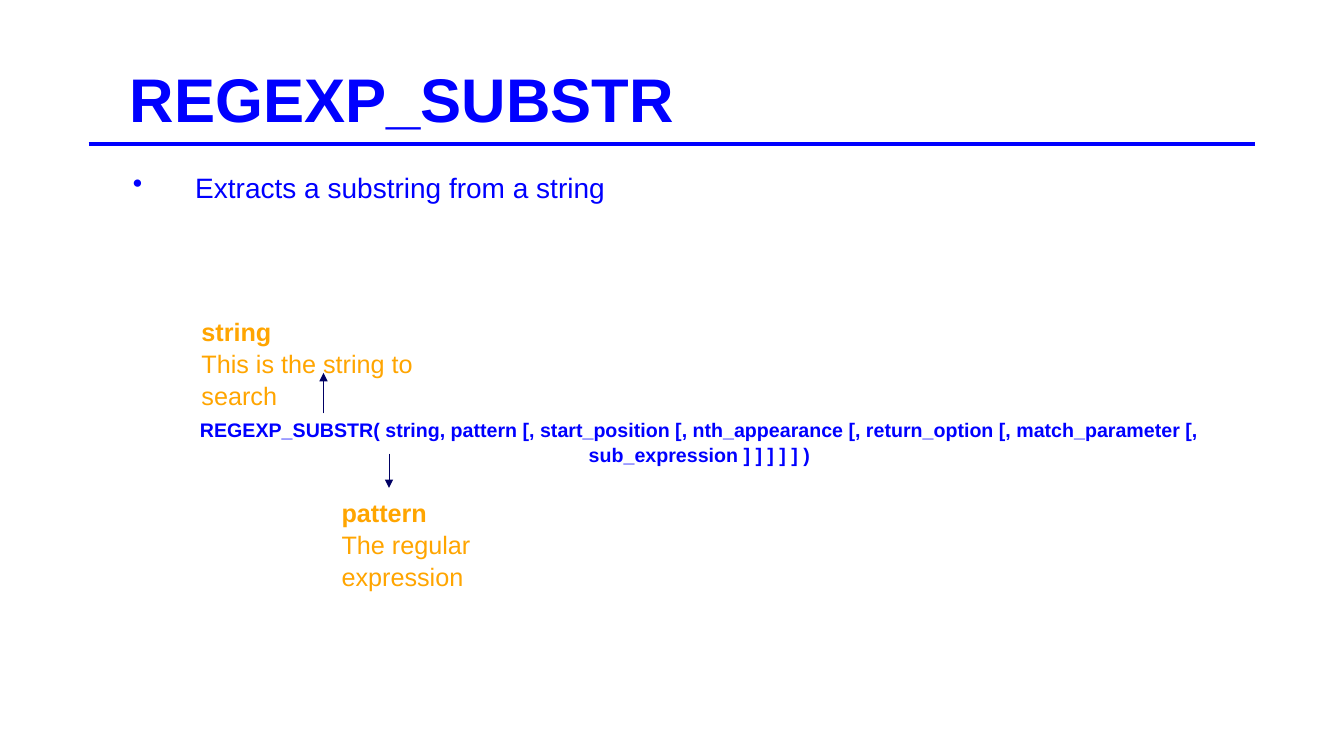
import pptx
import pptx.dml.color
import pptx.enum.shapes
import pptx.enum.text
import pptx.oxml
import pptx.util
from lxml import etree

Pt = pptx.util.Pt
BLUE, NAVY, ORANGE, WHITE = "0000FF", "000064", "FFA500", "FFFFFF"

TITLE = "REGEXP_SUBSTR"
SUMMARY = "Extracts a substring from a string"
SYNTAX = ("REGEXP_SUBSTR( string, pattern [, start_position [, nth_appearance "
          "[, return_option [, match_parameter [, sub_expression ] ] ] ] ] )")

# text, (left, top, width, height), format
PANELS = [
    (TITLE, (85.7, 36.7, 833, 55.4), dict(size=44, bold=True)),
    (SUMMARY, (87.8, 116.6, 784, 50.4), dict(size=20, bullet=True)),
    (SYNTAX, (63.4, 293.8, 872.6, 42.5), dict(size=14, bold=True, center=True)),
]
# name, meaning, (left, top, width, height)
ARGUMENTS = [
    ("string", "This is the string to search", (136.8, 221, 169.2, 72.7)),
    ("pattern", "The regular expression", (236.9, 350.6, 182.2, 72.7)),
]
# start, end, colour, width, arrow
LINES = [
    ((63.4, 103), (896.4, 103), BLUE, 3, False),
    ((231.1, 295.2), (231.1, 266.4), NAVY, 0.5, True),
    ((277.9, 324), (277.9, 348.5), NAVY, 0.5, True),
]


def rgb(value):
    return pptx.dml.color.RGBColor.from_string(value)


def add_bullet(p, indent):
    pPr = p._p.get_or_add_pPr()
    pPr.set("marL", str(Pt(indent)))
    pPr.set("indent", str(-Pt(indent)))
    etree.SubElement(pPr, pptx.oxml.ns.qn("a:buChar")).set("char", "•")


def write(p, text, size, color=BLUE, bold=False, center=False, bullet=False):
    if bullet:
        add_bullet(p, 44.6)
    align = pptx.enum.text.PP_ALIGN
    p.alignment = align.CENTER if center else align.LEFT
    p.line_spacing = 1.06
    r = p.add_run()
    r.text = text
    r.font.name, r.font.size, r.font.bold = "Arial", Pt(size), bold
    r.font.color.rgb = rgb(color)


def add_panel(s, text, box, **fmt):
    sp = s.shapes.add_shape(pptx.enum.shapes.MSO_SHAPE.RECTANGLE, *map(Pt, box))
    sp.shadow.inherit = False
    sp.fill.solid()
    sp.fill.fore_color.rgb = rgb(WHITE)
    sp.line.fill.background()
    tf = sp.text_frame
    tf.word_wrap = True
    tf.vertical_anchor = pptx.enum.text.MSO_ANCHOR.TOP
    write(tf.paragraphs[0], text, **fmt)


def add_argument(s, name, meaning, box):
    tf = s.shapes.add_textbox(*map(Pt, box)).text_frame
    tf.word_wrap = True
    tf.auto_size = pptx.enum.text.MSO_AUTO_SIZE.SHAPE_TO_FIT_TEXT
    write(tf.paragraphs[0], name, 18, ORANGE, bold=True)
    write(tf.add_paragraph(), meaning, 18, ORANGE)


def add_line(s, start, end, color, width, arrow):
    straight = pptx.enum.shapes.MSO_CONNECTOR.STRAIGHT
    line = s.shapes.add_connector(straight, *map(Pt, start + end))
    line.line.color.rgb = rgb(color)
    line.line.width = Pt(width)
    qn = pptx.oxml.ns.qn
    if arrow:
        ln = line.line._get_or_add_ln()
        etree.SubElement(ln, qn("a:tailEnd")).set("type", "triangle")
    etree.SubElement(line._element.spPr, qn("a:effectLst"))


def main():
    prs = pptx.Presentation()
    prs.slide_width, prs.slide_height = Pt(960), Pt(540)
    s = prs.slides.add_slide(prs.slide_layouts[6])
    for text, box, fmt in PANELS:
        add_panel(s, text, box, **fmt)
    for argument in ARGUMENTS:
        add_argument(s, *argument)
    for line in LINES:
        add_line(s, *line)
    prs.save("out.pptx")


if __name__ == "__main__":
    main()
